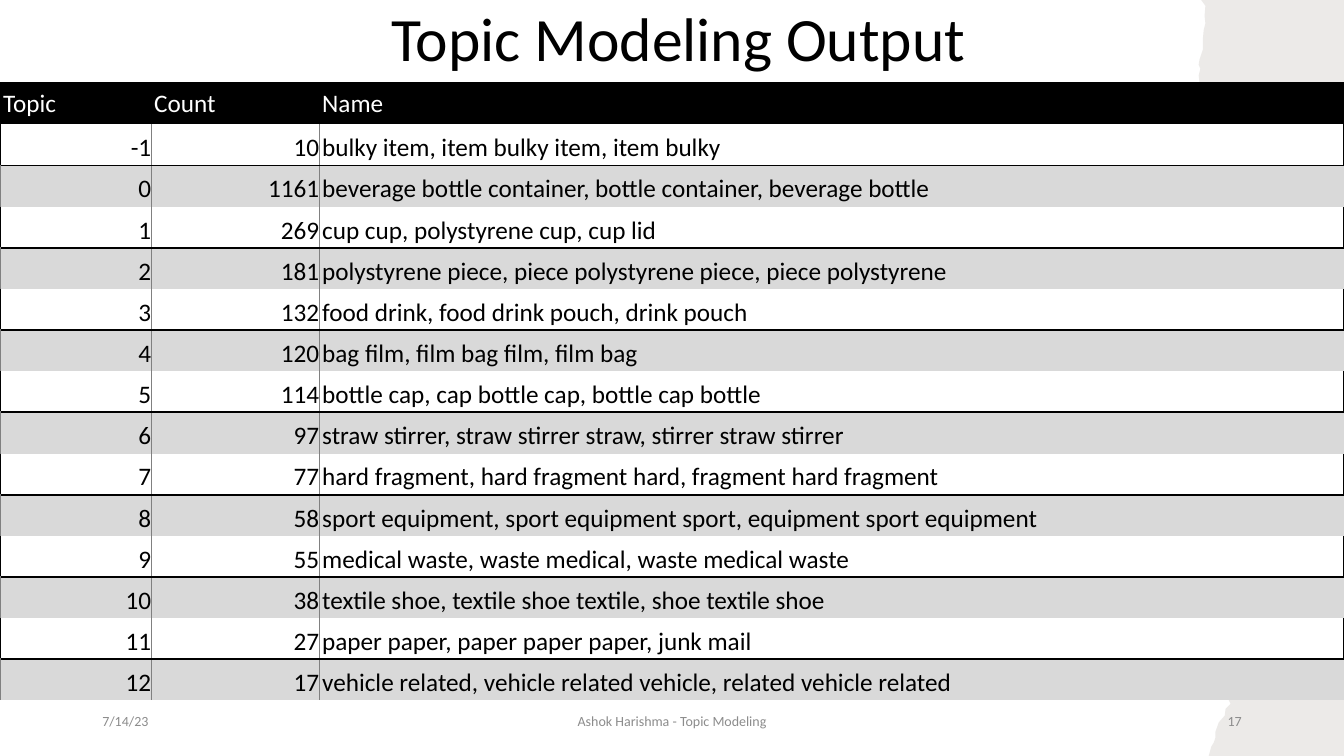
from lxml.etree import SubElement
from pptx import Presentation
from pptx.dml.color import RGBColor
from pptx.enum.text import MSO_ANCHOR as Anchor, PP_ALIGN as Align
from pptx.oxml.ns import qn
from pptx.util import Inches, Pt

COLORS = {"black": "000000", "white": "FFFFFF", "band": "D9D9D9",
          "rule": "808080", "footer": "8C8C8C", "paper": "82766A"}
NO_STYLE = "{2D5ABB26-0587-4C30-8999-92F81FD0307C}"
COLS, ROWS = 160, 90
TABLE_COLS, TABLE_TOP, TABLE_ROW = (18, 20, 122), 9.9, 4.9
FOOTER_TOP, FOOTER_HEIGHT = 83.4, 4.8

HEADER = ("Topic", "Count", "Name")
TOPICS = [
    (-1, 10, "bulky item, item bulky item, item bulky"),
    (0, 1161, "beverage bottle container, bottle container, beverage bottle"),
    (1, 269, "cup cup, polystyrene cup, cup lid"),
    (2, 181, "polystyrene piece, piece polystyrene piece, piece polystyrene"),
    (3, 132, "food drink, food drink pouch, drink pouch"),
    (4, 120, "bag film, film bag film, film bag"),
    (5, 114, "bottle cap, cap bottle cap, bottle cap bottle"),
    (6, 97, "straw stirrer, straw stirrer straw, stirrer straw stirrer"),
    (7, 77, "hard fragment, hard fragment hard, fragment hard fragment"),
    (8, 58, "sport equipment, sport equipment sport, equipment sport equipment"),
    (9, 55, "medical waste, waste medical, waste medical waste"),
    (10, 38, "textile shoe, textile shoe textile, shoe textile shoe"),
    (11, 27, "paper paper, paper paper paper, junk mail"),
    (12, 17, "vehicle related, vehicle related vehicle, related vehicle related"),
]

TORN_EDGE = [
    (143, 0), (143.5, 0.7), (143.4, 1.9), (143.5, 2.8), (143.3, 3.6),
    (143.2, 4.7), (143.2, 5.9), (142.9, 6.8), (142.8, 7.1), (142.7, 7.7),
    (142.9, 8.2), (142.7, 9), (142.8, 9.8), (143, 10.8), (143.5, 12.5),
    (143.8, 15), (143.9, 17.2), (143.8, 18), (144, 19.9), (144.1, 21.8),
    (144.5, 22.8), (145.3, 25), (145.7, 26.9), (145.9, 28.8), (146.3, 31.2),
    (146.8, 33.5), (147.4, 36.2), (148.2, 38.9), (148.8, 41), (149.3, 42.2),
    (149, 45.1), (148.9, 47.8), (148.7, 49.9), (148.2, 51.6), (148.7, 53.6),
    (148.6, 55.3), (148.9, 58.3), (149, 61.6), (148.9, 63.7), (148.7, 66.5),
    (148.4, 67.9), (147.6, 70), (147.2, 71.4), (146.9, 73), (146.4, 75),
    (145.8, 77.8), (146.2, 79.8), (145.9, 81.4), (146.3, 82.1), (146, 82.8),
    (146.5, 83.8), (145.9, 84.4), (145.8, 85.2), (145.1, 86), (144.7, 87.1),
    (144.7, 87.8), (144.5, 88.4), (144.2, 88.9), (143.9, 90),
]

THICK, THIN = ("black", 1.5), ("rule", 0.5)


def row_style(row):
    """Return the fill, font colour and anchor of a table row."""
    if row == 0:
        return "black", "white", Anchor.MIDDLE
    return ("white" if row % 2 else "band"), "black", Anchor.BOTTOM


def cell_borders(row, col):
    """Return the ruled sides of a cell; the other sides stay bare."""
    first, last = col == 0, col == len(HEADER) - 1
    if row % 2:
        return {"L": THICK if first else THIN, "R": THICK if last else THIN, "B": THICK}
    side = THIN if row else THICK
    borders = {"L": side, "T": THICK}
    return borders if last else {**borders, "R": side}


class Deck:
    font = "Calibri"

    def __init__(self):
        self.prs = Presentation()
        self.prs.slide_width, self.prs.slide_height = Inches(13.33), Inches(7.5)
        self.s = self.prs.slides.add_slide(self.prs.slide_layouts[6])

    def x(self, cols):
        return round(self.prs.slide_width * cols / COLS)

    def y(self, rows):
        return round(self.prs.slide_height * rows / ROWS)

    def color(self, name):
        return RGBColor.from_string(COLORS[name])

    def style(self, p, size, color, align):
        p.alignment = align
        p.font.name, p.font.size = self.font, Pt(size)
        p.font.color.rgb = self.color(color)

    def text(self, text, left, top, width, height, size, color, align):
        box = self.s.shapes.add_textbox(self.x(left), self.y(top),
                                        self.x(width), self.y(height))
        tf = box.text_frame
        tf.word_wrap, tf.vertical_anchor = True, Anchor.MIDDLE
        p = tf.paragraphs[0]
        p.text = text
        self.style(p, size, color, align)
        return p

    def footer(self, text, left, width, align):
        p = self.text(text, left, FOOTER_TOP, width, FOOTER_HEIGHT, 10, "footer", align)
        p.space_after = Pt(6)

    def torn_paper(self, edge, color, opacity):
        points = [(self.x(cols), self.y(rows)) for cols, rows in
                  edge + [(COLS, ROWS), (COLS, 0)]]
        builder = self.s.shapes.build_freeform(*points[0])
        builder.add_line_segments(points[1:], close=True)
        sp = builder.convert_to_shape()
        sp.shadow.inherit = False
        sp.line.fill.background()
        sp.fill.solid()
        sp.fill.fore_color.rgb = self.color(color)
        rgb = sp.fill._xPr.find(qn("a:solidFill"))[0]
        SubElement(rgb, qn("a:alpha"), val=str(opacity * 1000))

    def table(self, rows, top, widths, row_height):
        frame = self.s.shapes.add_table(
            len(rows), len(widths), 0, self.y(top),
            self.x(sum(widths)), self.y(row_height * len(rows)))
        table = frame.table
        table._tbl.tblPr.find(qn("a:tableStyleId")).text = NO_STYLE
        for column, width in zip(table.columns, widths):
            column.width = self.x(width)
        for r, values in enumerate(rows):
            table.rows[r].height = self.y(row_height)
            for c, value in enumerate(values):
                self.cell(table.cell(r, c), value, cell_borders(r, c), *row_style(r))

    def cell(self, cell, value, borders, fill, color, anchor):
        cell.margin_left, cell.margin_right = Inches(0.03), 0
        cell.margin_top = cell.margin_bottom = Inches(0.02)
        cell.vertical_anchor = anchor
        for side in "LRTB":
            line_color, width = borders.get(side, (None, 0))
            ln = SubElement(cell._tc.get_or_add_tcPr(), qn("a:ln" + side), w=str(Pt(width)))
            if line_color:
                SubElement(SubElement(ln, qn("a:solidFill")), qn("a:srgbClr"),
                           val=COLORS[line_color])
            else:
                SubElement(ln, qn("a:noFill"))
        cell.fill.solid()
        cell.fill.fore_color.rgb = self.color(fill)
        p = cell.text_frame.paragraphs[0]
        p.text = str(value)
        self.style(p, 18, color, Align.RIGHT if isinstance(value, int) else Align.LEFT)


def main():
    deck = Deck()
    title = deck.text("Topic Modeling Output", 1.6, 0, 158.4, TABLE_TOP,
                      44, "black", Align.CENTER)
    title.line_spacing = 0.9
    deck.footer("7/14/23", 11, 36, Align.LEFT)
    deck.footer("Ashok Harishma - Topic Modeling", 53, 54, Align.CENTER)
    deck.torn_paper(TORN_EDGE, "paper", 15)
    deck.footer("17", 113, 36, Align.RIGHT)
    deck.table([HEADER, *TOPICS], TABLE_TOP, TABLE_COLS, TABLE_ROW)
    deck.prs.save("out.pptx")


if __name__ == "__main__":
    main()
